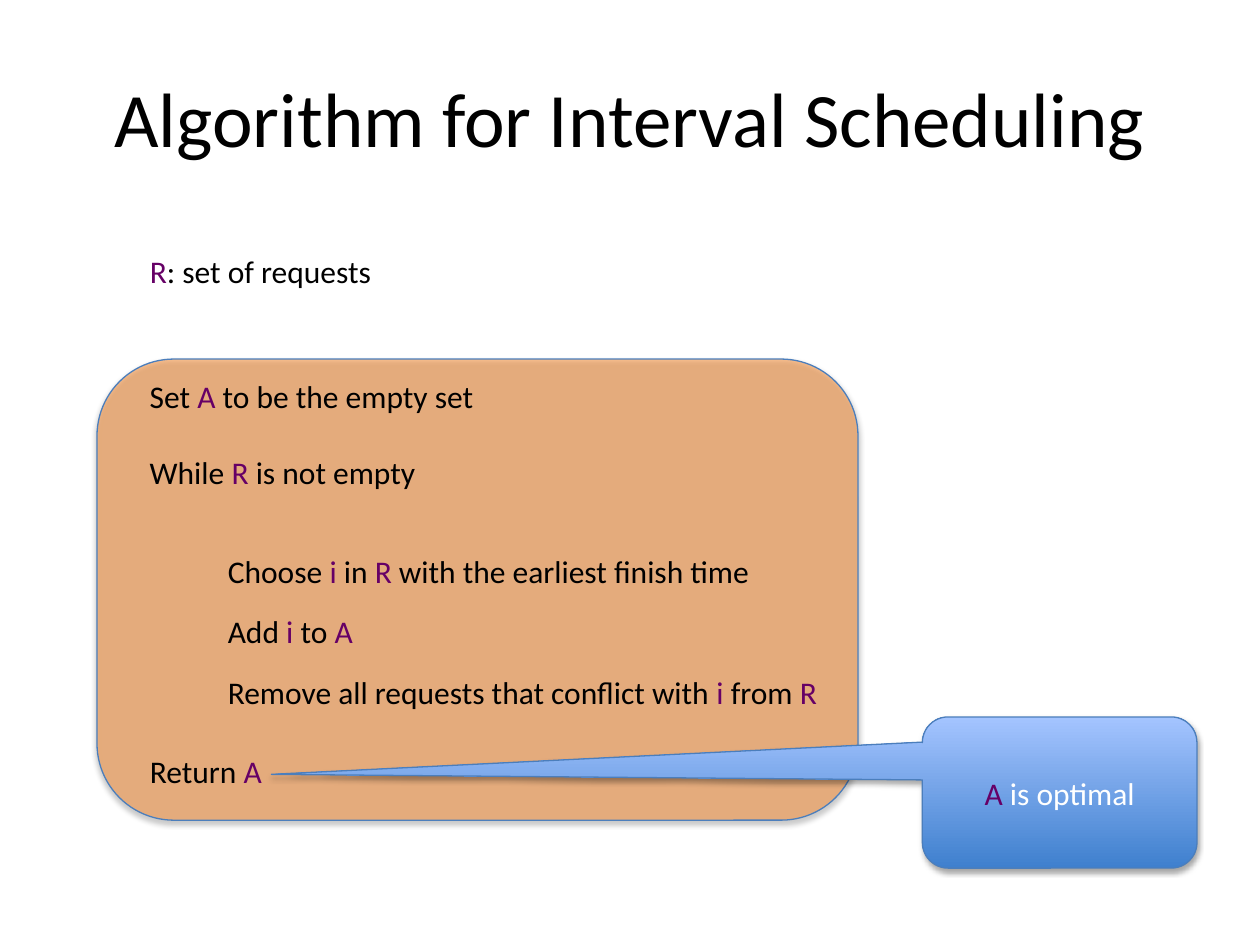
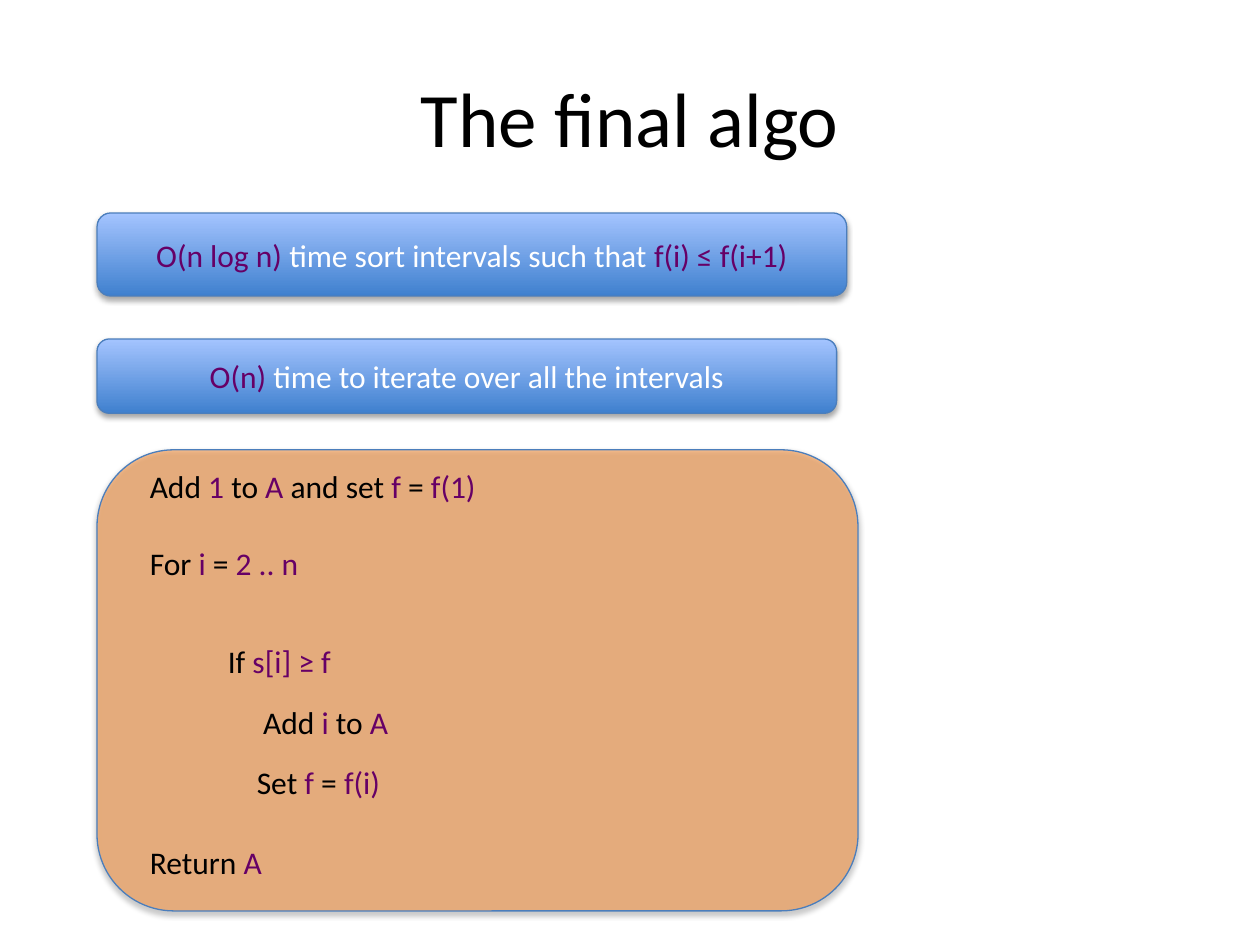
"""Build two slides on the interval scheduling algorithm."""
from dataclasses import dataclass
from itertools import cycle

from lxml.etree import SubElement
from pptx import Presentation
from pptx.dml.color import RGBColor
from pptx.enum.shapes import MSO_SHAPE as Preset
from pptx.enum.text import MSO_ANCHOR as Anchor, MSO_AUTO_SIZE as AutoSize, PP_ALIGN as Align
from pptx.oxml.ns import qn
from pptx.shapes.autoshape import Shape
from pptx.shapes.shapetree import GroupShapes, SlideShapes
from pptx.slide import Slide
from pptx.text.text import TextFrame
from pptx.util import Inches, Pt

COLORS = {
    "text": "000000",
    "symbol": "660066",
    "light": "FFFFFF",
    "panel": "F79646",
    "outline": "4B7EBC",
    "note_bottom": "3F80CE",
    "note_top": "A4C4FF",
    "shadow": "000000",
}
FONT = "Calibri"
SLIDE_WIDTH, SLIDE_HEIGHT = Inches(10), Inches(7.5)
COLUMN, ROW = SLIDE_WIDTH / 100, SLIDE_HEIGHT / 75

PANEL_LEFT, PANEL_WIDTH, PANEL_HEIGHT = 7.7, 60.4, 36.6
STEP_HEIGHT = 4
STEP_ROWS = (0.9, 7, 14.8, 19.6, 24.4, 30.7)
OUTER_LEFT, LOOP_LEFT = 10.9, 17.1
STEP_LEFTS = (OUTER_LEFT, OUTER_LEFT, LOOP_LEFT, LOOP_LEFT, LOOP_LEFT, OUTER_LEFT)


@dataclass(frozen=True)
class Area:
    """Place in grid columns and rows."""

    left: float
    top: float
    width: float
    height: float

    def emu(self) -> tuple[int, int, int, int]:
        """Return the area in slide units."""
        return (round(self.left * COLUMN), round(self.top * ROW),
                round(self.width * COLUMN), round(self.height * ROW))


@dataclass(frozen=True)
class Step:
    """Line of pseudocode, with symbols between asterisks."""

    text: str
    width: float
    indent: float = 0


@dataclass(frozen=True)
class Note:
    """Blue remark, with symbols between asterisks."""

    text: str
    area: Area
    preset: Preset = Preset.ROUNDED_RECTANGLE
    adjustments: tuple[float, ...] = ()


TITLE_AREA = Area(5, 3, 90, 12.5)
GREEDY_STEPS = (
    Step("Set *A* to be the empty set", 28),
    Step("While *R* is not empty", 23.3),
    Step("Choose *i* in *R* with the earliest finish time", 43.8),
    Step("Add *i* to *A*", 12),
    Step("Remove all requests that conflict with *i* from *R*", 49.3),
    Step("Return *A*", 11.1),
)
FINAL_STEPS = (
    Step("Add *1* to *A* and set *f* = *f(1)*", 28.1),
    Step("For *i* = *2 .. n*", 13.9),
    Step("If *s[i] ≥ f*", 10.3),
    Step("Add *i* to *A*", 14.9, 2.8),
    Step("Set *f *= *f(i)*", 14.2, 2.3),
    Step("Return *A*", 11.1),
)
OPTIMAL_NOTE = Note("*A *is optimal", Area(73.2, 56.9, 21.8, 12),
                    Preset.ROUNDED_RECTANGULAR_CALLOUT, (-2.87, -0.12, 0.17))
TIME_NOTES = (
    Note("*O(n log n) *time sort intervals such that *f(i) ≤ f(i+1)*",
         Area(PANEL_LEFT, 16.9, 59.5, 6.6)),
    Note("*O(n) *time to iterate over all the intervals",
         Area(PANEL_LEFT, 26.9, 58.7, 5.9)),
)


def rgb(name: str) -> RGBColor:
    """Look up a colour by its role."""
    return RGBColor.from_string(COLORS[name])


def write(frame: TextFrame, text: str, color: str, size: float = 18,
          align: Align = Align.LEFT) -> None:
    """Write one paragraph, colouring the symbols between asterisks."""
    paragraph = frame.paragraphs[0]
    paragraph.alignment = align
    for piece, role in zip(text.split("*"), cycle((color, "symbol"))):
        if piece:
            run = paragraph.add_run()
            run.text = piece
            run.font.name, run.font.size = FONT, Pt(size)
            run.font.color.rgb = rgb(role)


def outline_and_shade(shape: Shape) -> None:
    """Give a shape the thin outline and the soft shadow below it."""
    shape.line.color.rgb = rgb("outline")
    shape.line.width = Pt(0.75)
    shape.shadow.inherit = False
    effects = shape.element.spPr.find(qn("a:effectLst"))
    shadow = SubElement(effects, qn("a:outerShdw"), blurRad=str(Pt(3.1)),
                        dist=str(Pt(1.8)), dir="5400000", rotWithShape="0")
    tone = SubElement(shadow, qn("a:srgbClr"), val=COLORS["shadow"])
    SubElement(tone, qn("a:alpha"), val="35000")


def add_title(slide: Slide, text: str) -> None:
    """Add the centred slide title."""
    frame = slide.shapes.add_textbox(*TITLE_AREA.emu()).text_frame
    frame.word_wrap = True
    frame.vertical_anchor = Anchor.MIDDLE
    write(frame, text, "text", 44, Align.CENTER)


def add_step(shapes: SlideShapes | GroupShapes, step: Step, left: float, top: float) -> None:
    """Add one line of pseudocode."""
    frame = shapes.add_textbox(*Area(left, top, step.width, STEP_HEIGHT).emu()).text_frame
    frame.word_wrap = False
    frame.auto_size = AutoSize.SHAPE_TO_FIT_TEXT
    write(frame, step.text, "text")
    if step.indent:
        properties = frame.paragraphs[0]._p.get_or_add_pPr()
        properties.set("marL", str(round(step.indent * COLUMN)))


def add_algorithm(shapes: SlideShapes | GroupShapes, top: float, steps: tuple[Step, ...]) -> None:
    """Add the orange panel and its pseudocode."""
    area = Area(PANEL_LEFT, top, PANEL_WIDTH, PANEL_HEIGHT)
    panel = shapes.add_shape(Preset.ROUNDED_RECTANGLE, *area.emu())
    panel.fill.solid()
    panel.fill.fore_color.rgb = rgb("panel")
    tone = panel.element.spPr.find(qn("a:solidFill")).find(qn("a:srgbClr"))
    SubElement(tone, qn("a:alpha"), val="59000")
    outline_and_shade(panel)
    for step, left, row in zip(steps, STEP_LEFTS, STEP_ROWS):
        add_step(shapes, step, left, top + row)


def add_note(slide: Slide, note: Note) -> None:
    """Add a blue gradient remark."""
    bubble = slide.shapes.add_shape(note.preset, *note.area.emu())
    for index, value in enumerate(note.adjustments):
        bubble.adjustments[index] = value
    bubble.fill.gradient()
    bubble.fill.gradient_angle = 90
    for stop, role in zip(bubble.fill.gradient_stops, ("note_bottom", "note_top")):
        stop.color.rgb = rgb(role)
    outline_and_shade(bubble)
    frame = bubble.text_frame
    frame.word_wrap = True
    frame.vertical_anchor = Anchor.MIDDLE
    write(frame, note.text, "light", align=Align.CENTER)


def main() -> None:
    """Build and save the presentation."""
    deck = Presentation()
    deck.slide_width, deck.slide_height = SLIDE_WIDTH, SLIDE_HEIGHT
    blank = deck.slide_layouts[6]

    greedy = deck.slides.add_slide(blank)
    add_title(greedy, "Algorithm for Interval Scheduling")
    add_step(greedy.shapes, Step("*R*: set of requests", 19.8), OUTER_LEFT, 19.5)
    add_algorithm(greedy.shapes, 28.5, GREEDY_STEPS)
    add_note(greedy, OPTIMAL_NOTE)

    final = deck.slides.add_slide(blank)
    add_title(final, "The final algo")
    add_algorithm(final.shapes.add_group_shape().shapes, 35.7, FINAL_STEPS)
    for note in TIME_NOTES:
        add_note(final, note)

    deck.save("out.pptx")


main()
